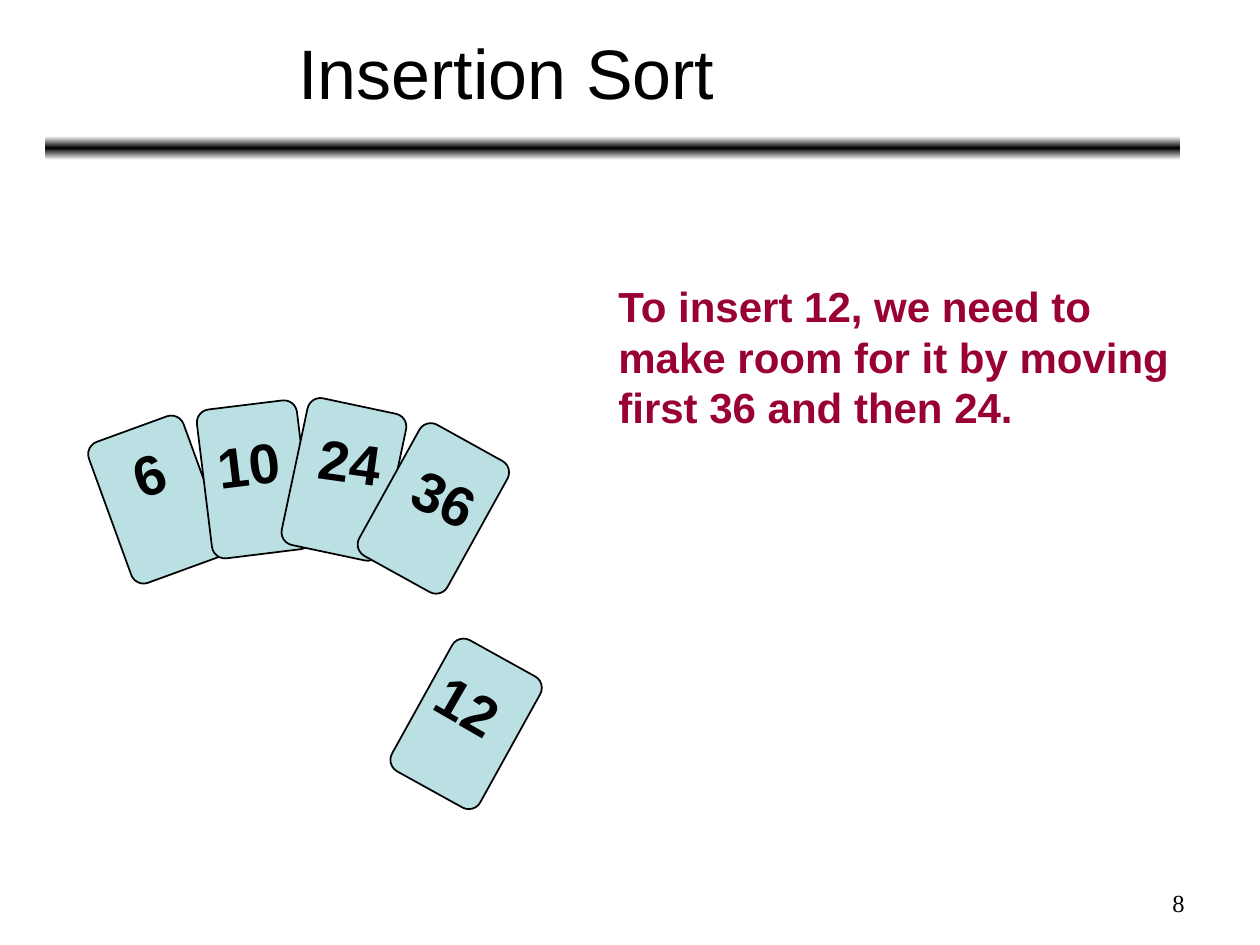
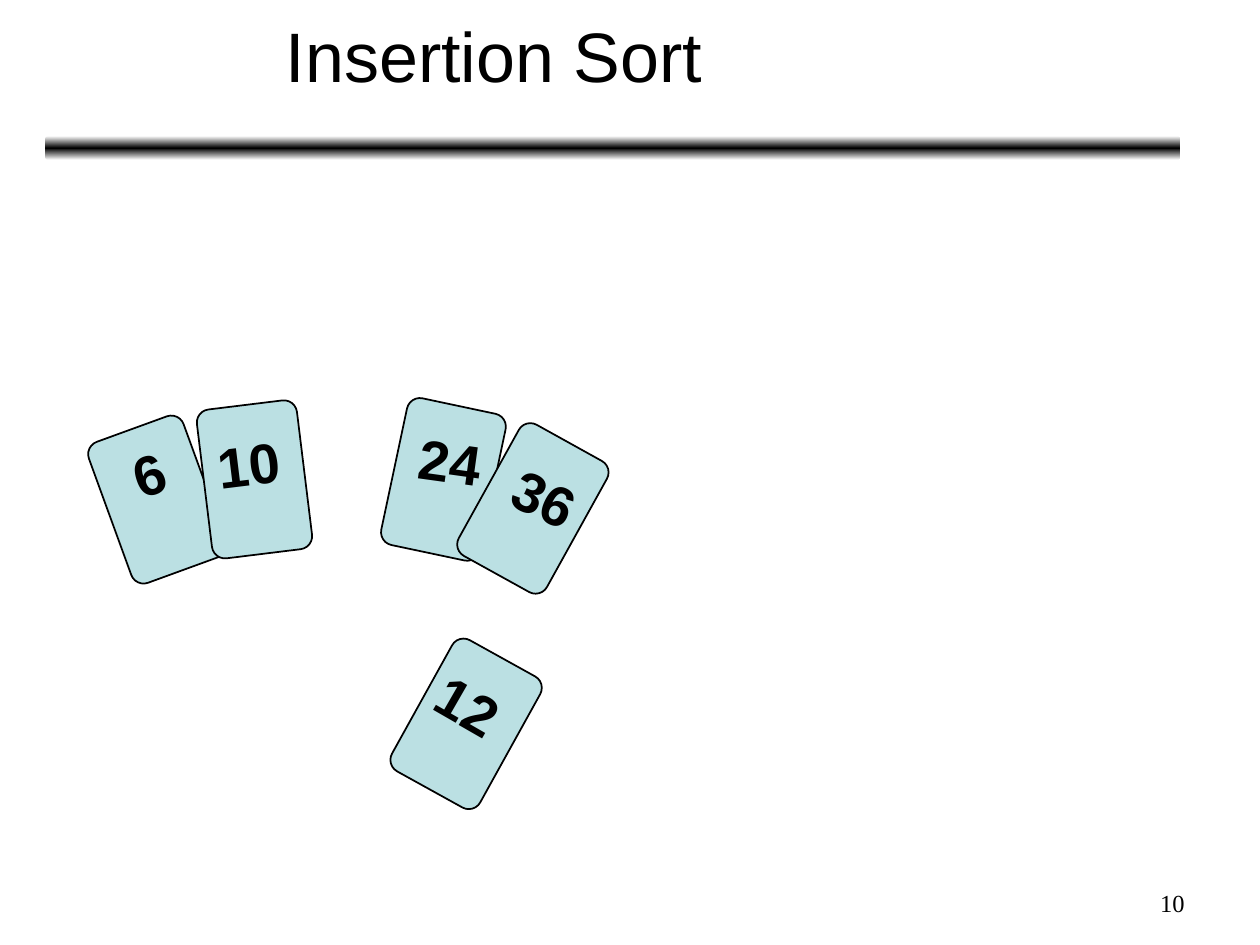
from copy import deepcopy

from pptx import Presentation
from pptx import util as u
from pptx.dml.color import RGBColor
from pptx.enum import shapes, text

# Content: each slide lists its cards in drawing order
SLIDES = [
    {"title": "Insertion Sort", "title_box": (0.56, 0.67, 6.92, 0.28),
     "cards": [6, 10, 24, 12, 36], "moved": [], "number": "8",
     "note": "To insert 12, we need to make room for it by moving "
             "first 36 and then 24."},
    {"title": "Insertion Sort", "title_box": (0.37, 0.25, 7.1, 0.57),
     "cards": [6, 10, 24, 36, 12], "moved": [24, 36], "number": "10",
     "note": None},
]
# value: (card left, top, turn), (label offset x, y, turn)
CARDS = {
    6: ((0.85, 3.37, 340), (0.11, 0.07, 341)),
    10: ((1.62, 3.21, 353), (0.01, 0.15, 353)),
    24: ((2.33, 3.21, 12), (0.11, 0.13, 8)),
    36: ((3.04, 3.44, 29), (0.15, 0.19, 25)),
    12: ((3.3, 5.15, 29), (0.07, 0.13, 30)),
}

# Shared style
BLACK = RGBColor(0, 0, 0)
WHITE = RGBColor(255, 255, 255)
CARD_FILL = RGBColor(0xBB, 0xE0, 0xE3)
CRIMSON = RGBColor(0x99, 0x00, 0x33)
PAGE = (10, 7.5)
BAND_BOX = (0.36, 1.08, 9.01, 0.19)
NOTE_BOX = (4.81, 2.18, 4.66, 1.3)
NUMBER_BOX = (7.17, 7, 2.33, 0.35)
CARD_W, CARD_H, CARD_CORNER = 0.8, 1.19, 0.13
DIGIT_W, LABEL_PAD, LABEL_H = 0.25, 0.2, 0.63
MOVE = 0.79  # how far a card slides to make room
FONTS = {
    "title": dict(name="Arial", size=u.Pt(40), bold=False),
    "note": dict(name="Arial", size=u.Pt(24), bold=True),
    "label": dict(name="Arial", size=u.Pt(32), bold=True),
    "number": dict(name="Times New Roman", size=u.Pt(14), bold=False),
}


def inches(box):
    """Turn a tuple of inch values into lengths."""
    return [u.Inches(v) for v in box]


def write(sp, words, style, color=BLACK, align=text.PP_ALIGN.LEFT, **frame):
    """Put one formatted paragraph into a shape."""
    tf = sp.text_frame
    for name, value in {"word_wrap": True, **frame}.items():
        setattr(tf, name, value)
    p = tf.paragraphs[0]
    p.alignment = align
    r = p.add_run()
    r.text = words
    for name, value in FONTS[style].items():
        setattr(r.font, name, value)
    r.font.color.rgb = color


def add_rounded(slide, box, corner):
    """Add a rounded rectangle without a shadow."""
    sp = slide.shapes.add_shape(shapes.MSO_SHAPE.ROUNDED_RECTANGLE, *inches(box))
    sp.adjustments[0] = corner
    sp.shadow.inherit = False
    return sp


def add_band(prs, slide):
    """Draw the gradient band and hand it over to the slide master."""
    sp = add_rounded(slide, BAND_BOX, 0.17)
    sp.line.fill.background()
    sp.fill.gradient()
    sp.fill.gradient_angle = 90
    stops = sp.element.xpath(".//a:gsLst")[0]
    stops.append(deepcopy(stops[-1]))
    for stop, (place, color) in zip(sp.fill.gradient_stops,
                                    [(0, WHITE), (0.5, BLACK), (1, WHITE)]):
        stop.position = place
        stop.color.rgb = color
    sp.element.xpath(".//p:cNvPr")[0].set("id", "99")
    prs.slide_master.shapes.element.insert(2, sp.element)


def add_card(slide, value, shift):
    """Draw a playing card with its turned number."""
    (left, top, turn), (dx, dy, label_turn) = CARDS[value]
    left += shift
    sp = add_rounded(slide, (left, top, CARD_W, CARD_H), CARD_CORNER)
    sp.rotation = turn
    sp.fill.solid()
    sp.fill.fore_color.rgb = CARD_FILL
    sp.line.color.rgb = BLACK
    sp.line.width = u.Pt(1)
    width = LABEL_PAD + DIGIT_W * len(str(value))
    label = slide.shapes.add_textbox(
        *inches((left + dx, top + dy, width, LABEL_H)))
    label.rotation = label_turn
    write(label, str(value), "label", word_wrap=False,
          auto_size=text.MSO_AUTO_SIZE.SHAPE_TO_FIT_TEXT)


def add_slide(prs, content):
    """Build one slide from its content."""
    slide = prs.slides.add_slide(prs.slide_layouts[5])
    title = slide.shapes.title
    title.left, title.top, title.width, title.height = inches(content["title_box"])
    write(title, content["title"], "title", align=text.PP_ALIGN.CENTER,
          vertical_anchor=text.MSO_ANCHOR.BOTTOM,
          auto_size=text.MSO_AUTO_SIZE.NONE)
    if content["note"]:
        write(slide.shapes.add_textbox(*inches(NOTE_BOX)), content["note"],
              "note", CRIMSON, auto_size=text.MSO_AUTO_SIZE.SHAPE_TO_FIT_TEXT)
    for value in content["cards"]:
        add_card(slide, value, MOVE if value in content["moved"] else 0)
    write(slide.shapes.add_textbox(*inches(NUMBER_BOX)), content["number"],
          "number", align=text.PP_ALIGN.RIGHT)
    return slide


prs = Presentation()
prs.slide_width, prs.slide_height = inches(PAGE)
built = [add_slide(prs, content) for content in SLIDES]
add_band(prs, built[0])
prs.save("out.pptx")
